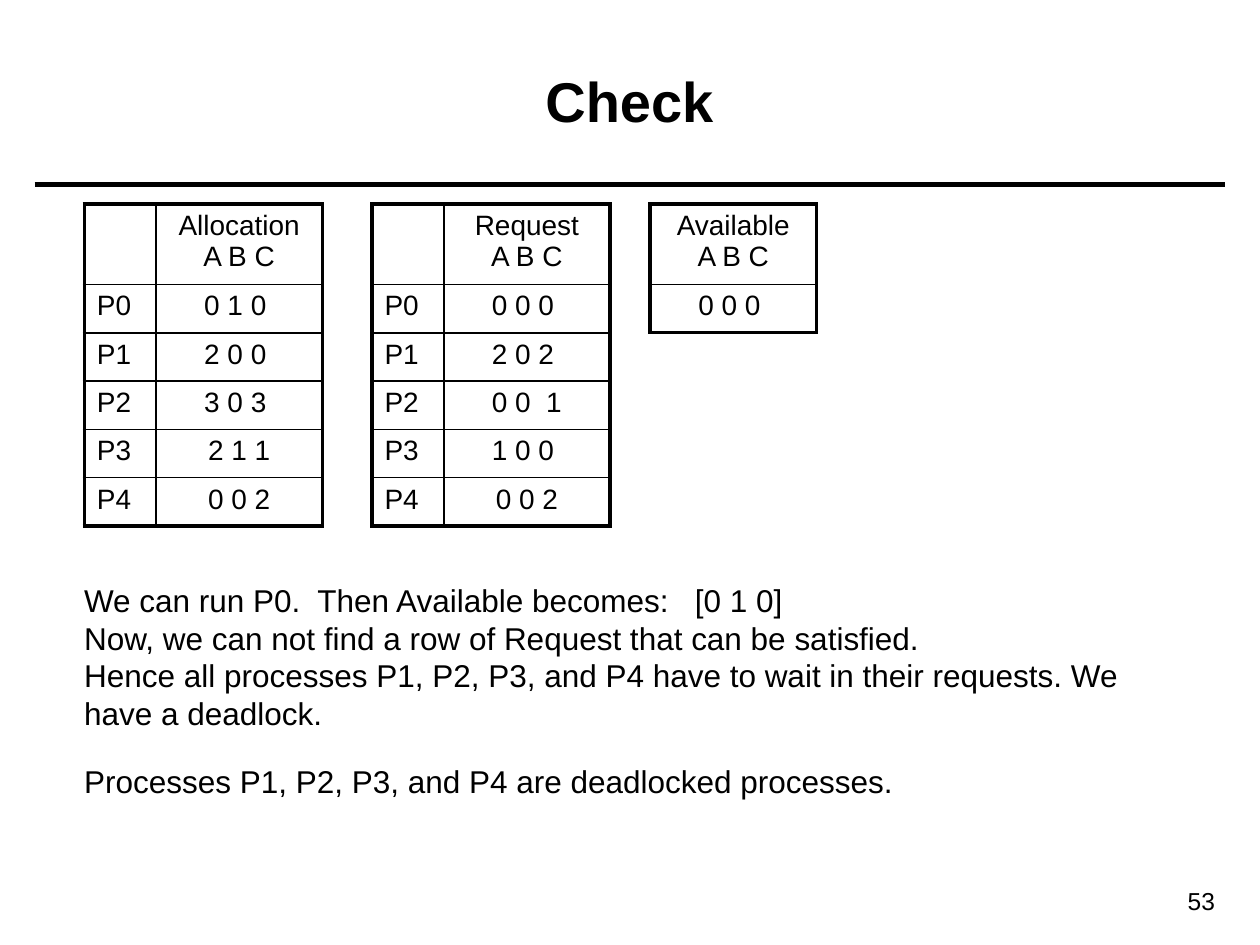
from lxml import etree
from pptx import Presentation
from pptx.dml.color import RGBColor
from pptx.enum.shapes import MSO_CONNECTOR
from pptx.enum.text import MSO_ANCHOR, PP_ALIGN
from pptx.oxml.ns import qn
from pptx.util import Pt

STRAIGHT = MSO_CONNECTOR.STRAIGHT
MIDDLE = MSO_ANCHOR.MIDDLE
LEFT, CENTER, RIGHT = PP_ALIGN.LEFT, PP_ALIGN.CENTER, PP_ALIGN.RIGHT

BLACK = RGBColor(0, 0, 0)
FONT = "Arial"
TITLE_ONLY = 5

TABLE_TOP = 116.6
HEADER_HEIGHT, ROW_HEIGHT = 46, 27.6
NAME_WIDTH, VALUE_WIDTH = 41, 95
THICK, THIN = 2.25, 1

PROCESSES = ["P0", "P1", "P2", "P3", "P4"]
ALLOCATION = ["0 1 0 ", "2 0 0 ", "3 0 3 ", "2 1 1", "0 0 2"]
REQUEST = ["0 0 0 ", "2 0 2 ", "0 0  1", "1 0 0 ", "0 0 2"]
EXPLANATION = [
    "We can run P0.  Then Available becomes:   [0 1 0]",
    "Now, we can not find a row of Request that can be satisfied.",
    "Hence all processes P1, P2, P3, and P4 have to wait in their requests. We",
    "have a deadlock.",
]
CONCLUSION = "Processes P1, P2, P3, and P4 are deadlocked processes."


def format_paragraph(paragraph, size, alignment=LEFT, bold=False):
    paragraph.alignment = alignment
    paragraph.font.name = FONT
    paragraph.font.size = Pt(size)
    paragraph.font.bold = bold
    paragraph.font.color.rgb = BLACK


def add_title(slide, text):
    title = slide.shapes.title
    title.left, title.top, title.width, title.height = Pt(25.2), Pt(12.2), Pt(669), Pt(90)
    title.text_frame.text = text
    title.text_frame.vertical_anchor = MIDDLE
    format_paragraph(title.text_frame.paragraphs[0], 32, CENTER, True)


def add_rule(slide, left, right, top):
    rule = slide.shapes.add_connector(STRAIGHT, Pt(left), Pt(top), Pt(right), Pt(top))
    rule.line.color.rgb = BLACK
    rule.line.width = Pt(3)
    etree.SubElement(rule._element.spPr, qn("a:effectLst"))


def add_text(slide, left, top, width, height, lines, size, alignment=LEFT):
    box = slide.shapes.add_textbox(Pt(left), Pt(top), Pt(width), Pt(height))
    frame = box.text_frame
    frame.word_wrap = True
    frame.text = "\n".join(lines)
    for paragraph in frame.paragraphs:
        format_paragraph(paragraph, size, alignment)
    return frame


def set_borders(cell, widths):
    properties = cell._tc.get_or_add_tcPr()
    for side, width in widths.items():
        line = etree.SubElement(properties, qn(f"a:ln{side}"), w=str(Pt(width)))
        fill = etree.SubElement(line, qn("a:solidFill"))
        etree.SubElement(fill, qn("a:srgbClr"), val=str(BLACK))


def add_matrix(slide, left, heading, values, names=None):
    header = f"{heading}\vA B C"
    if names:
        rows = [["", header], *zip(names, values)]
        widths = [NAME_WIDTH, VALUE_WIDTH]
    else:
        rows = [[header], *([value] for value in values)]
        widths = [VALUE_WIDTH]
    heights = [HEADER_HEIGHT] + [ROW_HEIGHT] * len(values)
    table = slide.shapes.add_table(
        len(rows), len(widths), Pt(left), Pt(TABLE_TOP), Pt(sum(widths)), Pt(sum(heights))
    ).table
    table.first_row = False
    table.horz_banding = False
    for column, width in zip(table.columns, widths):
        column.width = Pt(width)
    last_row, last_column = len(rows) - 1, len(widths) - 1
    for row_index, row in enumerate(rows):
        table.rows[row_index].height = Pt(heights[row_index])
        for column_index, text in enumerate(row):
            cell = table.cell(row_index, column_index)
            cell.text_frame.text = text
            alignment = CENTER if column_index == last_column else LEFT
            format_paragraph(cell.text_frame.paragraphs[0], 16, alignment)
            set_borders(cell, {
                "L": THICK if column_index == 0 else THIN,
                "R": THICK if column_index == last_column else THIN,
                "T": THICK if row_index == 0 else THIN,
                "B": THICK if row_index == last_row else THIN,
            })
            cell.fill.background()


def main():
    presentation = Presentation()
    presentation.slide_width, presentation.slide_height = Pt(720), Pt(540)
    slide = presentation.slides.add_slide(presentation.slide_layouts[TITLE_ONLY])
    add_rule(slide, 19.8, 700.2, 105.6)
    add_title(slide, "Check")
    add_matrix(slide, 48.2, "Allocation", ALLOCATION, PROCESSES)
    add_matrix(slide, 212.6, "Request", REQUEST, PROCESSES)
    add_matrix(slide, 371.5, "Available", ["0 0 0 "])
    explanation = add_text(slide, 41, 328.4, 605.5, 137, [*EXPLANATION, CONCLUSION], 18)
    explanation.paragraphs[-1].space_before = Pt(17)
    add_text(slide, 626.4, 502.6, 75, 24.5, ["53"], 14, RIGHT)
    presentation.save("out.pptx")


if __name__ == "__main__":
    main()
